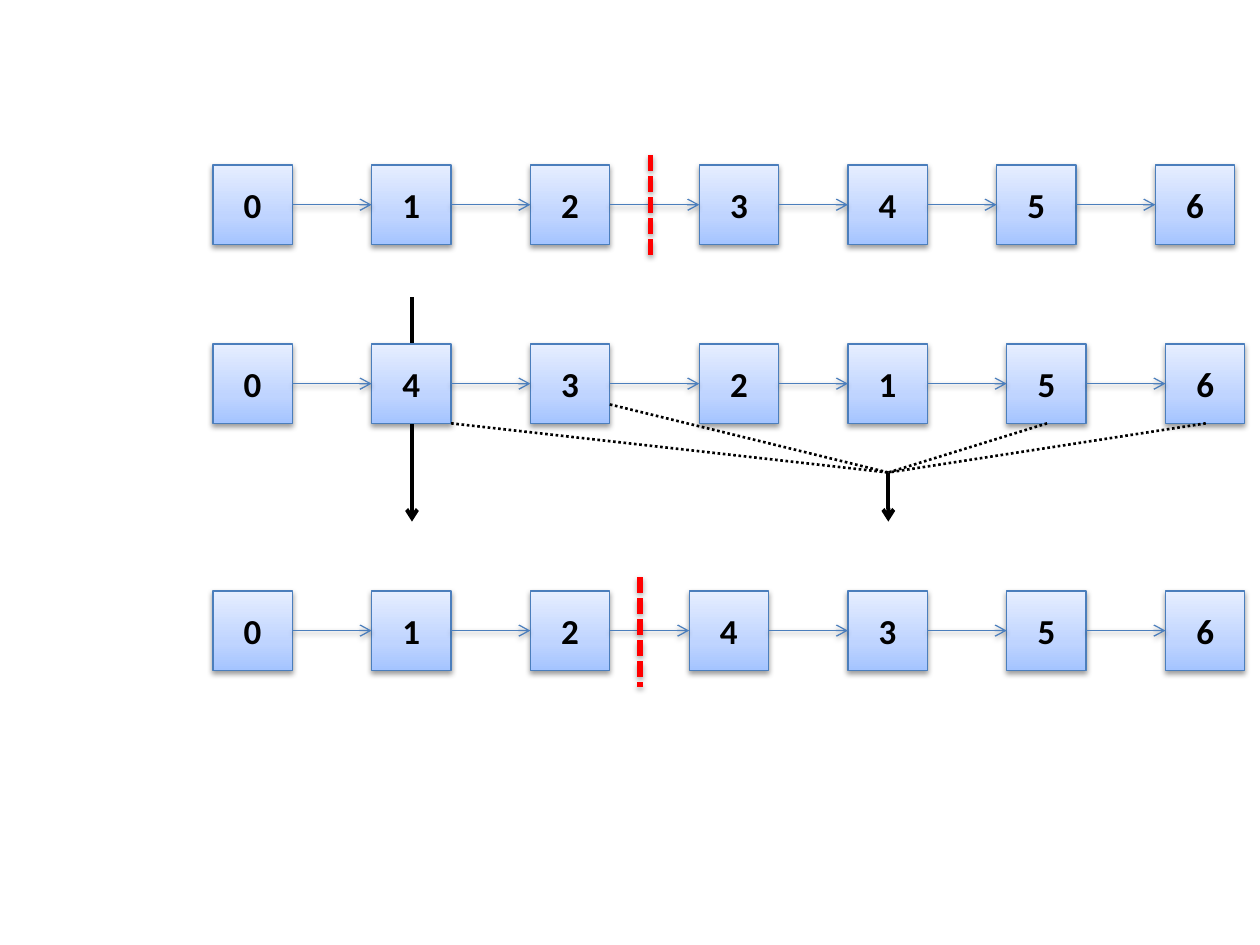
import pptx
import pptx.util
import pptx.dml.color
import pptx.enum.dml
import pptx.enum.shapes
import pptx.enum.text
import pptx.oxml
import pptx.oxml.ns

Inches = pptx.util.Inches
DASH = pptx.enum.dml.MSO_LINE
NS = pptx.oxml.ns.nsdecls("a")
BLUE, BLACK, RED = "4B7EBC", "000000", "FF0000"
SIDE = 0.63  # side of a box, and the usual gap
LEFT = 1.69
STOPS = [(0, "A4C4FF"), (35, "BFD4FF"), (100, "E6EEFF")]


def color(code):
    return pptx.dml.color.RGBColor.from_string(code)


def effect(part, soft):
    """Give a part a soft shadow, or none at all."""
    shade = (
        '<a:outerShdw blurRad="40000" dist="20000" dir="5400000" rotWithShape="0">'
        '<a:srgbClr val="000000"><a:alpha val="38000"/></a:srgbClr></a:outerShdw>'
    ) if soft else ""
    part._element.spPr.append(
        pptx.oxml.parse_xml(f"<a:effectLst {NS}>{shade}</a:effectLst>"))


def blend(shape):
    """Fill a shape with the blue gradient, dark at the bottom."""
    stops = "".join(
        f'<a:gs pos="{pos * 1000}"><a:srgbClr val="{code}"/></a:gs>'
        for pos, code in STOPS)
    grad = pptx.oxml.parse_xml(
        f'<a:gradFill {NS} rotWithShape="1"><a:gsLst>{stops}</a:gsLst>'
        '<a:lin ang="16200000" scaled="0"/></a:gradFill>')
    shape._element.spPr.prstGeom.addnext(grad)


def stroke(slide, start, end, code, width, dash=None, arrow=False, soft=False):
    line = slide.shapes.add_connector(
        pptx.enum.shapes.MSO_CONNECTOR.STRAIGHT,
        *(Inches(value) for value in (*start, *end)))
    line.line.color.rgb = color(code)
    line.line.width = pptx.util.Pt(width)
    if dash:
        line.line.dash_style = dash
    if arrow:
        line.line._get_or_add_ln().append(
            pptx.oxml.parse_xml(f'<a:tailEnd {NS} type="arrow"/>'))
    effect(line, soft)
    return line


def node(slide, left, top, label):
    box = slide.shapes.add_shape(
        pptx.enum.shapes.MSO_SHAPE.RECTANGLE,
        Inches(left), Inches(top), Inches(SIDE), Inches(SIDE))
    blend(box)
    box.line.color.rgb = color(BLUE)
    box.line.width = pptx.util.Pt(0.75)
    effect(box, True)
    frame = box.text_frame
    frame.vertical_anchor = pptx.enum.text.MSO_ANCHOR.MIDDLE
    para = frame.paragraphs[0]
    para.alignment = pptx.enum.text.PP_ALIGN.CENTER
    run = para.add_run()
    run.text = label
    run.font.name = "Calibri"
    run.font.size = pptx.util.Pt(20)
    run.font.bold = True
    run.font.color.rgb = color(BLACK)
    return box


def chain(slide, left, top, labels, gaps):
    """Draw a row of boxes joined by arrows."""
    last = None
    for label, gap in zip(labels, [0, *gaps]):
        left += gap
        box = node(slide, left, top, label)
        if last is not None:
            mid = top + SIDE / 2
            link = stroke(slide, (left - gap, mid), (left, mid),
                          BLUE, 0.75, arrow=True, soft=True)
            link.begin_connect(last, 3)
            link.end_connect(box, 1)
        last = box
        left += SIDE


def split(slide, x, top, height):
    """Draw the red mark that cuts a chain."""
    stroke(slide, (x, top), (x, top + height), RED, 3,
           dash=DASH.SQUARE_DOT, soft=True)


def merge(slide, hub, ends, drop):
    """Draw dotted lines into one point, and an arrow down from it."""
    for end in ends:
        stroke(slide, end, hub, BLACK, 1.5, dash=DASH.ROUND_DOT)
    stroke(slide, hub, (hub[0], hub[1] + drop), BLACK, 2.25, arrow=True)


def main():
    deck = pptx.Presentation()
    deck.slide_width, deck.slide_height = Inches(10), Inches(7.5)
    slide = deck.slides.add_slide(deck.slide_layouts[6])

    # Long arrow behind the middle chain
    stroke(slide, (3.27, 2.36), (3.27, 4.14), BLACK, 2.25, arrow=True)

    # Three chains
    chain(slide, LEFT, 1.31, "0123456", [SIDE, SIDE, 0.71, 0.55, 0.55, SIDE])
    chain(slide, LEFT, 2.73, "0432156", [SIDE, SIDE, 0.71, 0.55, SIDE, SIDE])
    chain(slide, LEFT, 4.69, "0124356", [SIDE] * 6)

    # Cuts in the first and last chains
    split(slide, 5.16, 1.23, 0.8)
    split(slide, 5.08, 4.58, 0.87)

    # Boxes that are kept from the middle chain
    merge(slide, (7.05, 3.75),
          [(4.84, 3.21), (3.58, 3.36), (9.57, 3.36), (8.31, 3.36)], 0.39)

    deck.save("out.pptx")


if __name__ == "__main__":
    main()
